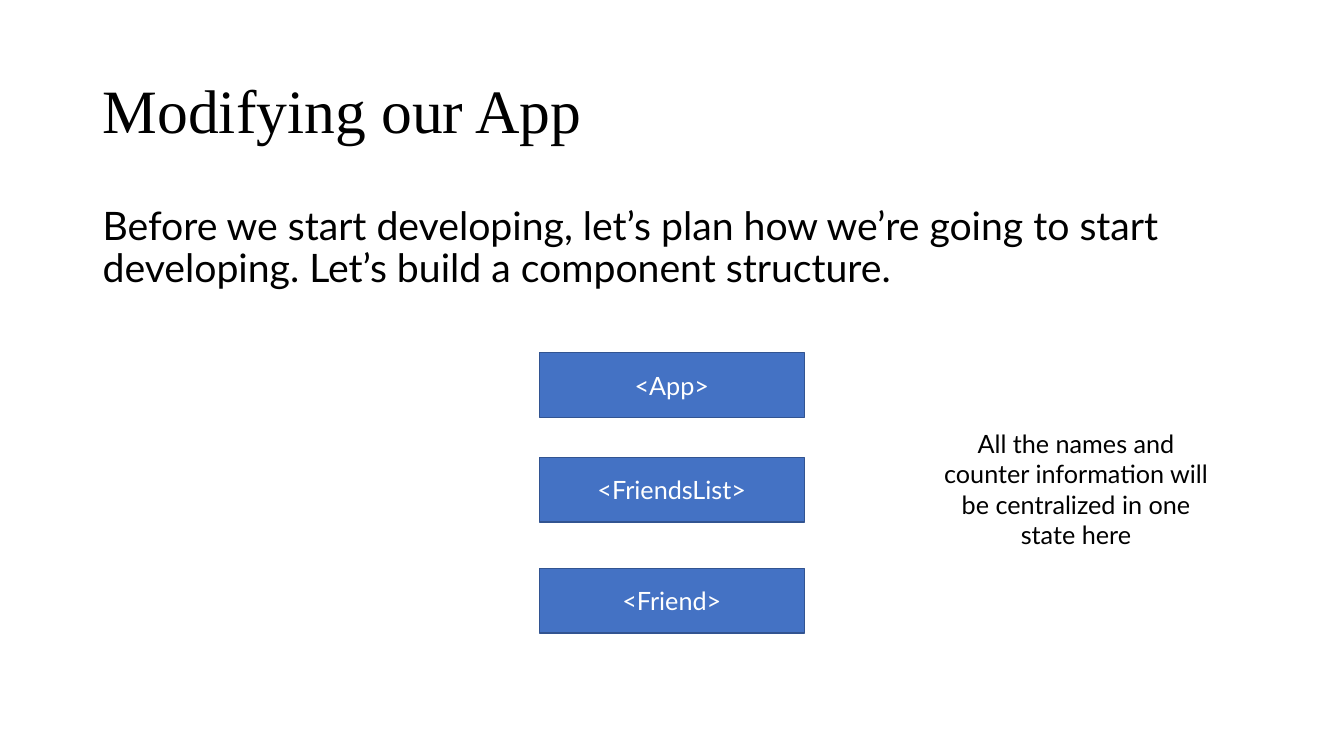
from dataclasses import dataclass

from pptx import Presentation
from pptx.dml.color import RGBColor
from pptx.enum.shapes import MSO_SHAPE
from pptx.enum.text import MSO_ANCHOR, PP_ALIGN
from pptx.util import Pt

RECT = MSO_SHAPE.RECTANGLE
TOP, MIDDLE = MSO_ANCHOR.TOP, MSO_ANCHOR.MIDDLE
LEFT, CENTER = PP_ALIGN.LEFT, PP_ALIGN.CENTER

BLACK, WHITE, BLUE, NAVY = "000000", "FFFFFF", "4472C4", "325491"
HEADING_FONT, BODY_FONT = "Times New Roman", "Lato"


@dataclass(frozen=True)
class TextStyle:
    size: float
    color: str = BLACK
    font: str = BODY_FONT
    align: PP_ALIGN = LEFT
    anchor: MSO_ANCHOR = TOP
    spacing: float = 1.0


@dataclass(frozen=True)
class TextBlock:
    text: str
    left: float
    top: float
    width: float
    height: float
    style: TextStyle


@dataclass(frozen=True)
class Component:
    tag: str
    top: float


TITLE = TextStyle(44, font=HEADING_FONT, anchor=MIDDLE, spacing=0.9)
BODY = TextStyle(28, spacing=0.9)
NOTE = TextStyle(18, align=CENTER)
LABEL = TextStyle(18, color=WHITE, align=CENTER, anchor=MIDDLE)

BLOCKS = [
    TextBlock("Modifying our App", 66.24, 28.8, 828, 104.4, TITLE),
    TextBlock(
        "Before we start developing, let’s plan how we’re going to start "
        "developing. Let’s build a component structure.",
        66.24, 144, 828, 342.72, BODY,
    ),
    TextBlock(
        "All the names and counter information will be centralized in one state here",
        661.68, 302.4, 213.84, 94.32, NOTE,
    ),
]

COMPONENT_LEFT, COMPONENT_WIDTH, COMPONENT_HEIGHT = 385.2, 189.36, 46.08
COMPONENTS = [
    Component("<App>", 252),
    Component("<FriendsList>", 326.88),
    Component("<Friend>", 406.08),
]


def rgb(color: str) -> RGBColor:
    return RGBColor.from_string(color)


def apply_format(target: object, values: dict[str, object]) -> None:
    for name, value in values.items():
        setattr(target, name, value)


def write_text(sp, text: str, style: TextStyle) -> None:
    tf = sp.text_frame
    apply_format(tf, {"word_wrap": True, "vertical_anchor": style.anchor})
    p = tf.paragraphs[0]
    apply_format(p, {"alignment": style.align, "line_spacing": style.spacing})
    r = p.add_run()
    r.text = text
    apply_format(r.font, {"name": style.font, "size": Pt(style.size)})
    r.font.color.rgb = rgb(style.color)


def add_block(s, block: TextBlock) -> None:
    sp = s.shapes.add_textbox(
        Pt(block.left), Pt(block.top), Pt(block.width), Pt(block.height)
    )
    write_text(sp, block.text, block.style)


def add_component(s, component: Component) -> None:
    sp = s.shapes.add_shape(
        RECT, Pt(COMPONENT_LEFT), Pt(component.top),
        Pt(COMPONENT_WIDTH), Pt(COMPONENT_HEIGHT),
    )
    sp.shadow.inherit = False
    sp.fill.solid()
    sp.fill.fore_color.rgb = rgb(BLUE)
    sp.line.color.rgb = rgb(NAVY)
    sp.line.width = Pt(1)
    write_text(sp, component.tag, LABEL)


def main() -> None:
    prs = Presentation()
    apply_format(prs, {"slide_width": Pt(960), "slide_height": Pt(540)})
    s = prs.slides.add_slide(prs.slide_layouts[6])
    for block in BLOCKS:
        add_block(s, block)
    for component in COMPONENTS:
        add_component(s, component)
    prs.save("out.pptx")


if __name__ == "__main__":
    main()
